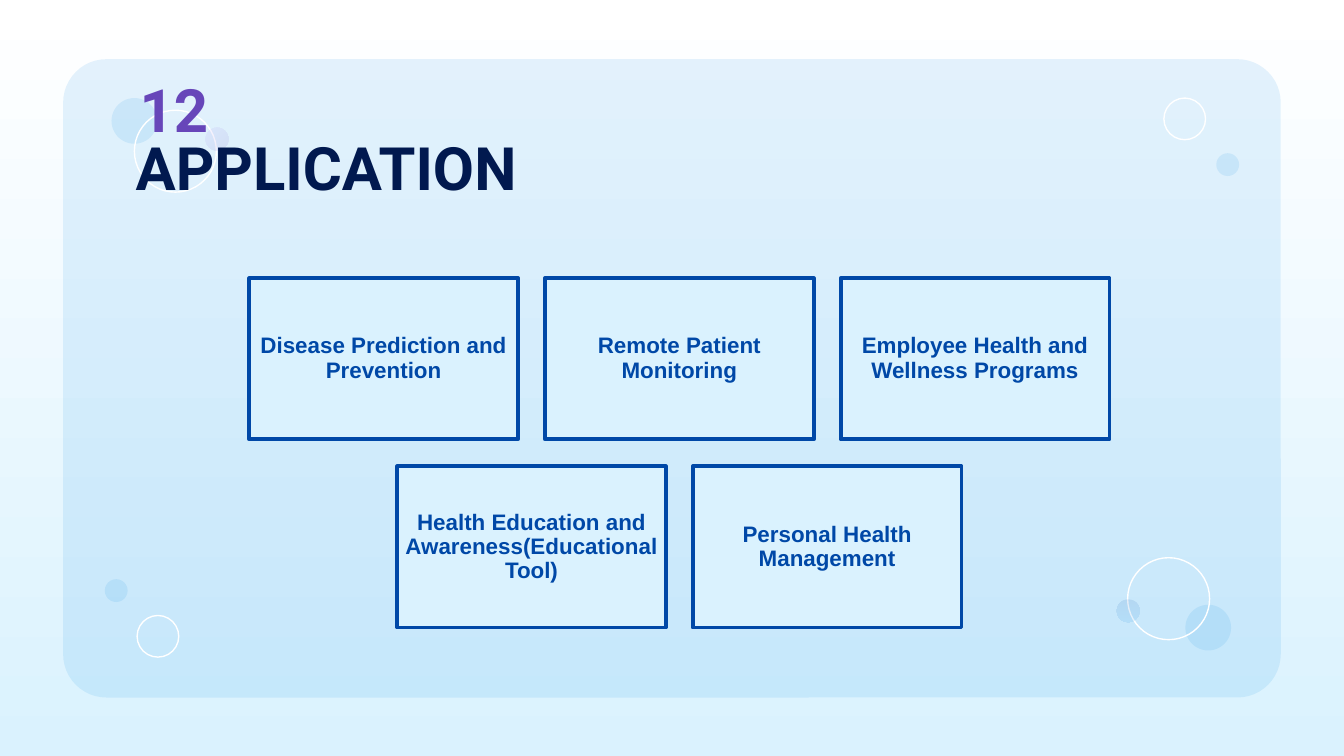
from lxml import etree
from pptx import Presentation
from pptx.dml.color import RGBColor
from pptx.enum import shapes, text
from pptx.oxml import ns
from pptx.util import Inches, Pt

WHITE = RGBColor(0xFF, 0xFF, 0xFF)
PALE = RGBColor(0xDA, 0xF2, 0xFE)
SKY = RGBColor(0x03, 0x88, 0xE5)
BLUE = RGBColor(0x00, 0x48, 0xA7)
NAVY = RGBColor(0x01, 0x19, 0x4F)
LILAC = RGBColor(0xAD, 0x8D, 0xFF)
PURPLE = RGBColor(0x67, 0x46, 0xB9)

APPLICATIONS = [
    ["Disease Prediction and Prevention", "Remote Patient Monitoring",
     "Employee Health and Wellness Programs"],
    ["Health Education and Awareness(Educational Tool)", "Personal Health Management"],
]
# x, y, diameter, fill colours (none: white ring; two: gradient), gradient angle
BUBBLES = [
    (1.02, 4.58, 0.31, [], 0),
    (0.83, 0.73, 0.34, [SKY], 0),
    (1.0, 0.82, 0.61, [], 0),
    (1.53, 0.95, 0.17, [LILAC, PURPLE], 315),
    (0.78, 4.31, 0.17, [SKY], 0),
    (8.82, 4.5, 0.34, [SKY], 0),
    (8.39, 4.15, 0.61, [], 0),
    (8.31, 4.46, 0.17, [BLUE, SKY], 270),
    (8.66, 0.73, 0.31, [], 0),
    (9.05, 1.14, 0.17, [SKY], 0),
]


def paint(fill, colours, angle=0):
    if not colours:
        fill.background()
    elif len(colours) == 1:
        fill.solid()
        fill.fore_color.rgb = colours[0]
    else:
        fill.gradient()
        fill.gradient_angle = angle
        for stop, colour in zip(fill.gradient_stops, colours):
            stop.color.rgb = colour


def make_faint(shape):
    """Give every fill colour of the shape 10% opacity."""
    for colour in shape.element.spPr.iter(ns.qn("a:srgbClr")):
        etree.SubElement(colour, ns.qn("a:alpha"), val="10000")


def add_shape(page, kind, x, y, width, height, colours, angle=0, line=None, weight=0.75):
    shape = page.shapes.add_shape(kind, Inches(x), Inches(y), Inches(width), Inches(height))
    shape.shadow.inherit = False
    paint(shape.fill, colours, angle)
    if line is None:
        shape.line.fill.background()
    else:
        shape.line.color.rgb = line
        shape.line.width = Pt(weight)
    return shape


def write(box, words, *, size, colour, font, align=text.PP_ALIGN.LEFT,
          anchor=text.MSO_ANCHOR.TOP, spacing=1.0, after=0, inset=None):
    frame = box.text_frame
    frame.word_wrap = True
    frame.auto_size = text.MSO_AUTO_SIZE.NONE
    frame.vertical_anchor = anchor
    if inset is not None:
        frame.margin_left = frame.margin_right = Inches(inset)
        frame.margin_top = frame.margin_bottom = Inches(inset)
    para = frame.paragraphs[0]
    para.alignment = align
    para.line_spacing = spacing
    para.space_before = Pt(0)
    para.space_after = Pt(after)
    span = para.add_run()
    span.text = words
    span.font.name = font
    span.font.size = Pt(size)
    span.font.bold = True
    span.font.color.rgb = colour


def add_backdrop(page, x, y, width, height):
    paint(page.background.fill, [WHITE, PALE], 270)
    panel = add_shape(page, shapes.MSO_SHAPE.ROUNDED_RECTANGLE, x, y, width, height, [SKY])
    panel.adjustments[0] = 0.068
    make_faint(panel)
    for left, top, size, colours, angle in BUBBLES:
        bubble = add_shape(page, shapes.MSO_SHAPE.OVAL, left, top, size, size,
                           colours, angle, line=None if colours else WHITE)
        if colours:
            make_faint(bubble)


def add_heading(page, x, y, width):
    title = page.shapes.title
    title.left, title.top = Inches(x + 0.08), Inches(y + 0.43)
    title.width, title.height = Inches(width), Inches(0.64)
    write(title, "APPLICATION", size=32, colour=NAVY, font="Roboto")
    page.shapes.element.append(title.element)  # in front of the backdrop
    number = page.shapes.add_textbox(Inches(x), Inches(y), Inches(1.02), Inches(0.64))
    write(number, " 12", size=32, colour=PURPLE, font="Roboto")


def add_cards(page, x, y, width, rows):
    """Lay out rows of equal cards, each row centred in the width."""
    card_width, card_height, gap = 2, 1.2, 0.2
    for row_index, row in enumerate(rows):
        row_width = len(row) * (card_width + gap) - gap
        left = x + (width - row_width) / 2
        top = y + row_index * (card_height + gap)
        for column, words in enumerate(row):
            card = add_shape(page, shapes.MSO_SHAPE.RECTANGLE,
                             left + column * (card_width + gap), top,
                             card_width, card_height, [PALE], line=BLUE, weight=2)
            write(card, words, size=12, colour=BLUE, font="Arial",
                  align=text.PP_ALIGN.CENTER, anchor=text.MSO_ANCHOR.MIDDLE,
                  spacing=0.9, after=4.2, inset=0.05)


def main():
    deck = Presentation()
    deck.slide_width = Inches(10)
    deck.slide_height = deck.slide_width * 9 // 16
    page = deck.slides.add_slide(deck.slide_layouts[5])
    add_backdrop(page, 0.47, 0.44, 9.06, 4.75)
    add_heading(page, 0.83, 0.49, 7.72)
    add_cards(page, 1.85, 2.07, 6.41, APPLICATIONS)
    deck.save("out.pptx")


if __name__ == "__main__":
    main()
